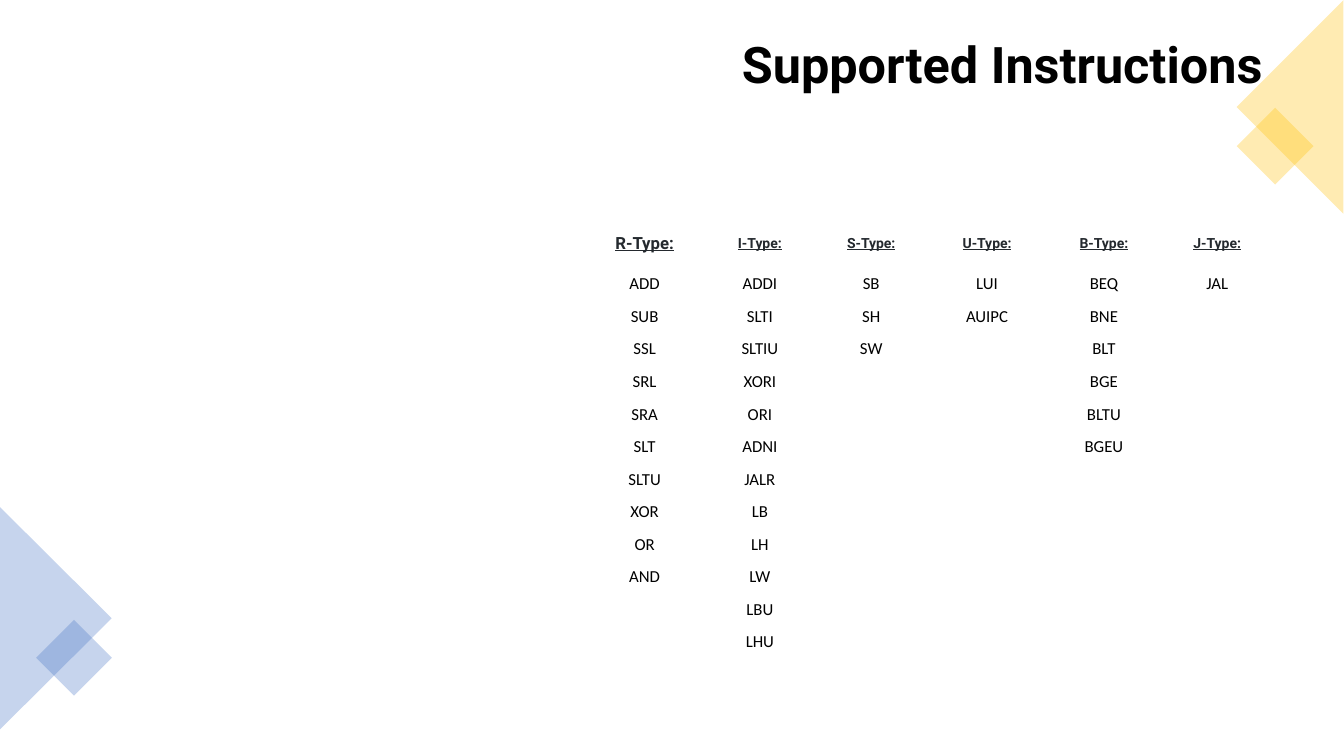
"""Builds the slide that lists the supported instructions by type."""
from itertools import zip_longest

from lxml import etree
from pptx import Presentation
from pptx.dml.color import RGBColor
from pptx.enum.shapes import MSO_SHAPE
from pptx.enum.text import MSO_ANCHOR, PP_ALIGN
from pptx.oxml.ns import qn
from pptx.util import Cm, Pt


def color(hex_value):
    return RGBColor.from_string(hex_value)


def style(paragraph, name, size, hex_value, bold=False, underline=False):
    font = paragraph.font
    font.name, font.size, font.bold, font.underline = name, Pt(size), bold, underline
    font.color.rgb = color(hex_value)


presentation = Presentation()
presentation.slide_width, presentation.slide_height = Cm(33.87), Cm(19.05)
slide = presentation.slides.add_slide(presentation.slide_layouts[6])

title = slide.shapes.add_textbox(Cm(1.78), Cm(0.89), Cm(30.3), Cm(3.15))
title.text_frame.word_wrap = True
title.text_frame.vertical_anchor = MSO_ANCHOR.TOP
paragraph = title.text_frame.paragraphs[0]
paragraph.text = "Supported Instructions"
paragraph.alignment = PP_ALIGN.RIGHT
paragraph.line_spacing = 0.9
style(paragraph, "Roboto", 36, "000000", bold=True)

BLUE, YELLOW = "4472C4", "FFC000"
decorations = [
    (MSO_SHAPE.ISOSCELES_TRIANGLE, -1.4, 14.17, 5.61, 2.82, 90, BLUE),
    (MSO_SHAPE.RECTANGLE, 1.19, 15.9, 1.35, 1.35, 45, BLUE),
    (MSO_SHAPE.RECTANGLE, 31.45, 3, 1.37, 1.37, 45, YELLOW),
    (MSO_SHAPE.ISOSCELES_TRIANGLE, 29.82, 1.35, 5.38, 2.69, 270, YELLOW),
]
for kind, left, top, width, height, rotation, hex_value in decorations:
    shape = slide.shapes.add_shape(kind, Cm(left), Cm(top), Cm(width), Cm(height))
    shape.rotation = rotation
    shape.shadow.inherit = False
    shape.line.fill.background()
    shape.fill.solid()
    shape.fill.fore_color.rgb = color(hex_value)
    fill_color = shape.fill._xPr.find(qn("a:solidFill"))[0]
    etree.SubElement(fill_color, qn("a:alpha"), val="30000")

instructions = {
    "R-Type:": "ADD SUB SSL SRL SRA SLT SLTU XOR OR AND",
    "I-Type:": "ADDI SLTI SLTIU XORI ORI ADNI JALR LB LH LW LBU LHU",
    "S-Type:": "SB SH SW",
    "U-Type:": "LUI AUIPC",
    "B-Type:": "BEQ BNE BLT BGE BLTU BGEU",
    "J-Type:": "JAL",
}
columns = [[heading, *names.split()] for heading, names in instructions.items()]
rows = list(zip_longest(*columns, fillvalue=""))
column_widths = [3.07, 2.74, 2.87, 2.97, 2.92, 2.79]
row_heights = [1.24] + [0.82] * (len(rows) - 1)

table = slide.shapes.add_table(
    len(rows), len(columns), Cm(14.71), Cm(5.51),
    Cm(sum(column_widths)), Cm(sum(row_heights))).table
table.first_row = table.horz_banding = False
for column, width in zip(table.columns, column_widths):
    column.width = Cm(width)
for row_index, (names, height) in enumerate(zip(rows, row_heights)):
    table.rows[row_index].height = Cm(height)
    for column_index, name in enumerate(names):
        cell = table.cell(row_index, column_index)
        cell.fill.background()
        cell.vertical_anchor = MSO_ANCHOR.MIDDLE
        paragraph = cell.text_frame.paragraphs[0]
        paragraph.text = name
        paragraph.alignment = PP_ALIGN.CENTER
        if row_index == 0:
            heading_size = 12 if column_index == 0 else 10
            style(paragraph, "Roboto", heading_size, "24292E", bold=True, underline=True)
        else:
            style(paragraph, "Calibri", 12, "000000")

presentation.save("out.pptx")
